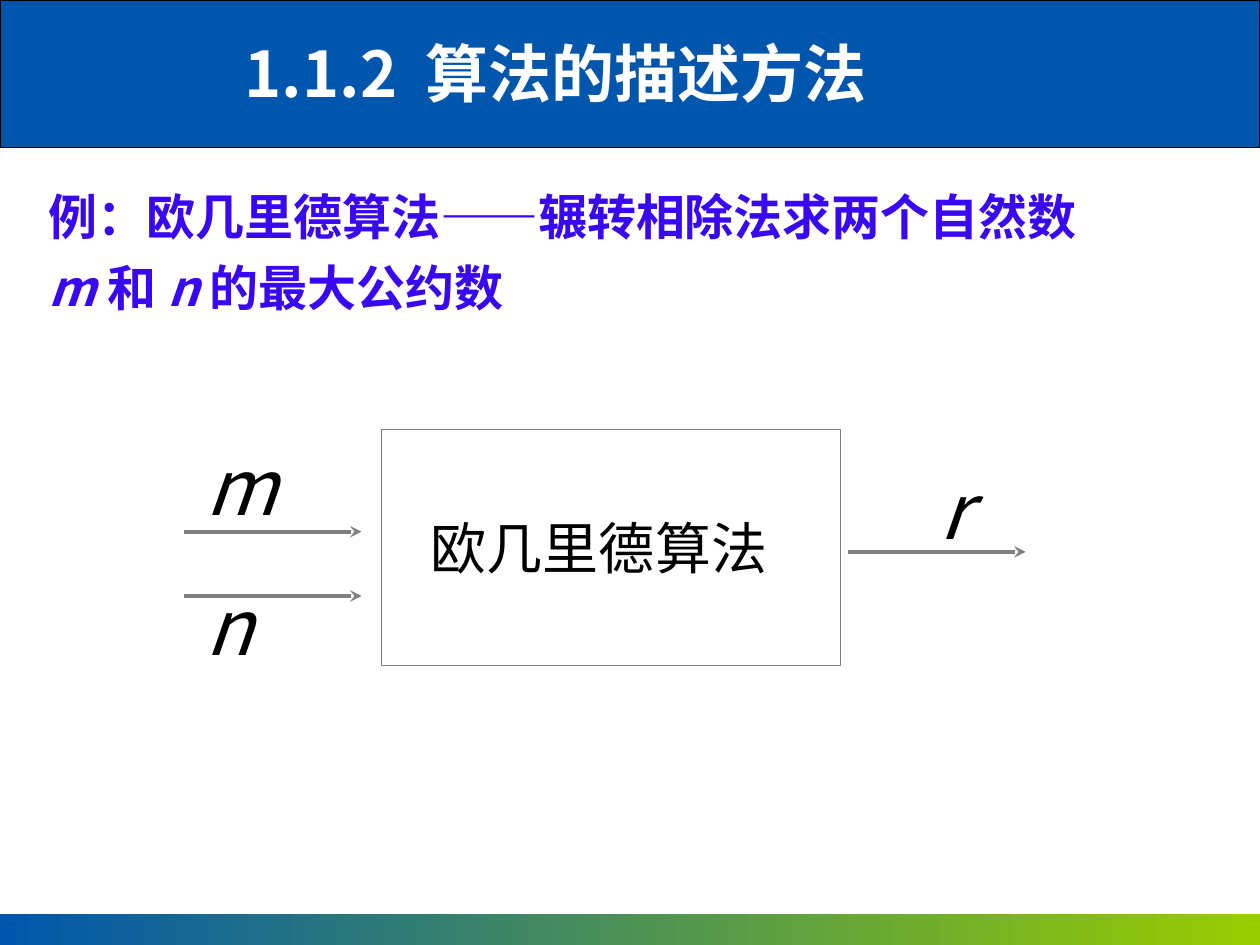
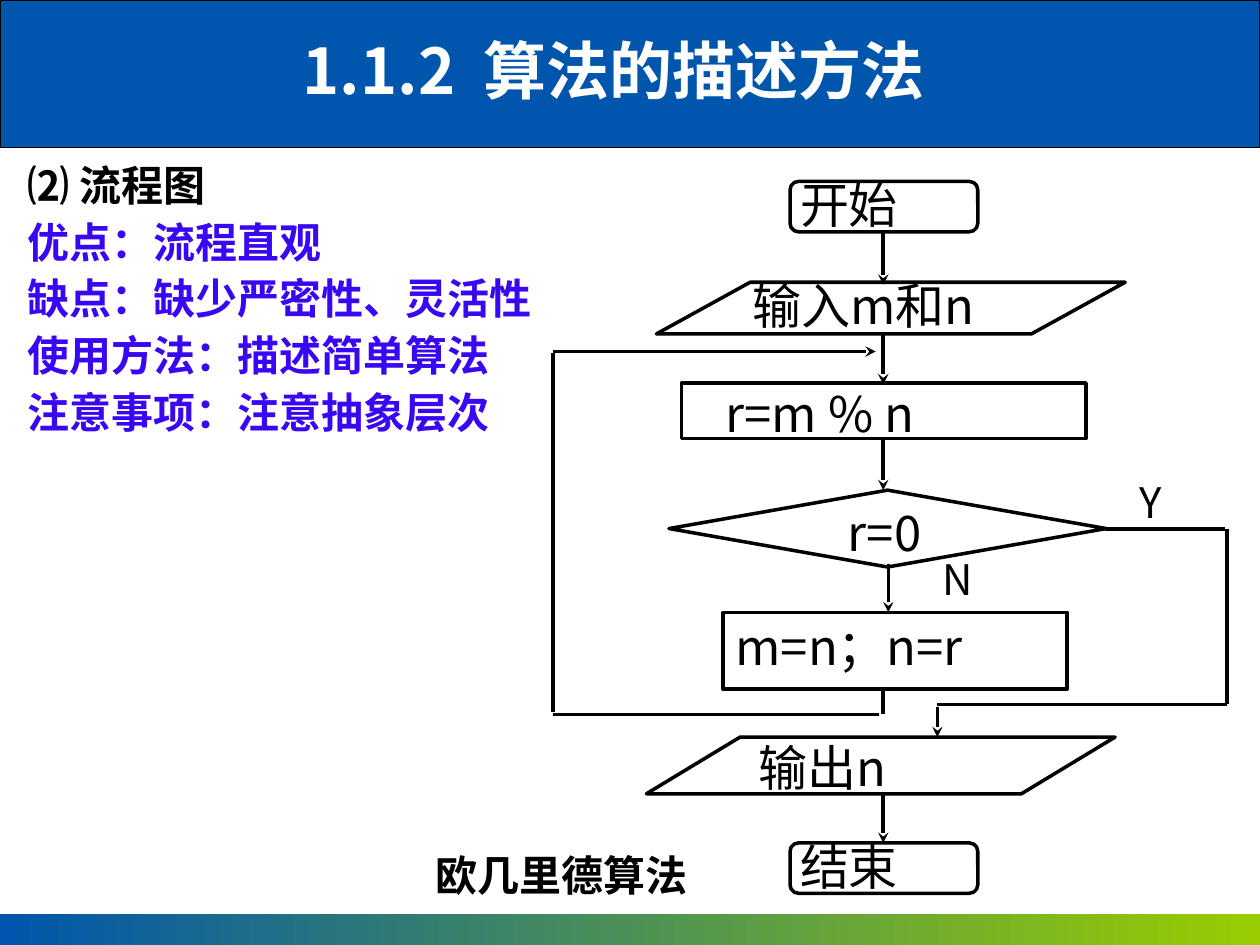
from dataclasses import dataclass

from lxml import etree
from pptx import Presentation
from pptx.dml.color import RGBColor
from pptx.enum.shapes import MSO_CONNECTOR, MSO_SHAPE
from pptx.enum.text import MSO_ANCHOR, MSO_AUTO_SIZE, PP_ALIGN
from pptx.oxml.ns import qn
from pptx.util import Inches, Pt

FONT = "Noto Sans CJK SC"
BLUE = RGBColor(0x00, 0x56, 0xAC)
GREEN = RGBColor(0x99, 0xCC, 0x00)
VIOLET = RGBColor(0x39, 0x07, 0xF1)
GREY = RGBColor(0x80, 0x80, 0x80)
BLACK = RGBColor(0x00, 0x00, 0x00)
WHITE = RGBColor(0xFF, 0xFF, 0xFF)

RECTANGLE = MSO_SHAPE.RECTANGLE
TERMINAL = MSO_SHAPE.FLOWCHART_ALTERNATE_PROCESS
DATA = MSO_SHAPE.FLOWCHART_DATA
PROCESS = MSO_SHAPE.FLOWCHART_PROCESS
DECISION = MSO_SHAPE.FLOWCHART_DECISION
STRAIGHT = MSO_CONNECTOR.STRAIGHT
TOP, MIDDLE = MSO_ANCHOR.TOP, MSO_ANCHOR.MIDDLE
LEFT, CENTER = PP_ALIGN.LEFT, PP_ALIGN.CENTER
NO_AUTOFIT = MSO_AUTO_SIZE.NONE

DEFAULT_MARGINS = (0.1, 0.05, 0.1, 0.05)
NO_MARGINS = (0, 0, 0, 0)


@dataclass(frozen=True)
class Area:
    left: float
    top: float
    width: float
    height: float

    def lengths(self):
        return [Inches(n) for n in (self.left, self.top, self.width, self.height)]


@dataclass(frozen=True)
class Span:
    text: str
    size: float
    color: RGBColor = BLACK
    bold: bool = False
    italic: bool = False
    tracking: float = 0  # points added after each character


@dataclass(frozen=True)
class Step:
    kind: MSO_SHAPE
    area: Area
    text: str = ""
    margins: tuple = NO_MARGINS
    line_spacing: float = 1.0


@dataclass(frozen=True)
class Label:
    area: Area
    span: Span
    margins: tuple = DEFAULT_MARGINS


@dataclass(frozen=True)
class Link:
    start: tuple
    end: tuple
    arrow: bool = True


STEPS = [
    Step(TERMINAL, Area(6.27, 1.44, 1.49, 0.4), "开始", (0.06, 0, 0.06, 0), 0.85),
    Step(DATA, Area(5.21, 2.24, 3.72, 0.41), "输入m和n", (0.02, 0, 0.02, 0), 0.9),
    Step(PROCESS, Area(5.41, 3.04, 3.21, 0.44), "r=m % n", (0.35, 0, 0.02, 0)),
    Step(DECISION, Area(5.31, 3.89, 3.47, 0.61)),
    Step(PROCESS, Area(5.74, 4.86, 2.73, 0.61), "m=n；n=r", (0.1, 0.12, 0.1, 0), 0.8),
    Step(DATA, Area(5.13, 5.85, 3.72, 0.45), "输出n", (0.15, 0, 0.06, 0)),
    Step(TERMINAL, Area(6.27, 6.69, 1.49, 0.4), "结束", (0.06, 0, 0.06, 0), 0.85),
]
MAIN_X, LOOP_X, EXIT_X, OUTPUT_X = 7.01, 4.39, 9.74, 7.44
FLOW_LINKS = [
    *[Link((MAIN_X, top), (MAIN_X, bottom)) for top, bottom in
      [(1.85, 2.26), (2.65, 3.05), (3.49, 3.89), (6.29, 6.69)]],
    Link((7.05, 4.48), (7.05, 4.86)),
    # Y branch, out to the right and down to the output
    Link((8.77, 4.2), (9.72, 4.2), arrow=False),
    Link((EXIT_X, 4.2), (EXIT_X, 5.59), arrow=False),
    Link((OUTPUT_X, 5.59), (EXIT_X, 5.59), arrow=False),
    Link((OUTPUT_X, 5.61), (OUTPUT_X, 5.85)),
    # loop back to the remainder step
    Link((MAIN_X, 5.47), (MAIN_X, 5.67), arrow=False),
    Link((6.98, 5.67), (LOOP_X, 5.67), arrow=False),
    Link((LOOP_X, 5.65), (LOOP_X, 2.8), arrow=False),
    Link((LOOP_X, 2.79), (6.95, 2.79)),
]
FLOW_LABELS = [
    Label(Area(6.73, 3.99, 0.67, 0.33), Span("r=0", 28), NO_MARGINS),
    Label(Area(7.48, 4.39, 0.32, 0.33), Span("N", 24), NO_MARGINS),
    Label(Area(9.04, 3.78, 0.53, 0.33), Span("Y", 24), NO_MARGINS),
    Label(Area(3.36, 6.69, 2.32, 0.5), Span("欧几里德算法", 24, bold=True)),
]
INPUT_OUTPUT_LINKS = [Link((left, y), (left + 1.41, y))
                      for left, y in [(1.46, 4.22), (1.46, 4.73), (6.73, 4.38)]]
VARIABLE_LABELS = [Label(Area(left, top, 0.79, 0.83), Span(name, 44, italic=True))
                   for name, left, top in [("m", 1.53, 3.43), ("n", 1.53, 4.54), ("r", 7.36, 3.62)]]
NOTES = ["优点：流程直观", "缺点：缺少严密性、灵活性", "使用方法：描述简单算法", "注意事项：注意抽象层次"]


def add_span(para, span: Span) -> None:
    run = para.add_run()
    run.text = span.text
    font = run.font
    font.name, font.size = FONT, Pt(span.size)
    font.bold, font.italic = span.bold, span.italic
    font.color.rgb = span.color
    properties = run.font._element
    etree.SubElement(properties, qn("a:ea")).set("typeface", FONT)
    if span.tracking:
        properties.set("spc", str(round(span.tracking * 100)))


def write(shape, paragraphs: list, margins=DEFAULT_MARGINS, anchor=TOP,
          align=LEFT, line_spacing=1.0, space_before=0.0) -> None:
    """Fill a shape with paragraphs, each a list of spans."""
    frame = shape.text_frame
    frame.word_wrap = True
    frame.auto_size = NO_AUTOFIT
    frame.vertical_anchor = anchor
    (frame.margin_left, frame.margin_top,
     frame.margin_right, frame.margin_bottom) = [Inches(n) for n in margins]
    for index, spans in enumerate(paragraphs):
        para = frame.add_paragraph() if index else frame.paragraphs[0]
        para.alignment = align
        para.line_spacing = line_spacing
        para.space_before = Pt(space_before)
        for span in spans:
            add_span(para, span)


def place(shape, area: Area) -> None:
    shape.left, shape.top, shape.width, shape.height = area.lengths()


def remove_bullets(shape) -> None:
    for para in shape.text_frame.paragraphs:
        properties = para._p.get_or_add_pPr()
        properties.set("marL", "0")
        properties.set("indent", "0")
        etree.SubElement(properties, qn("a:buNone"))


def outline(shape, color: RGBColor, width: float) -> None:
    shape.line.color.rgb = color
    shape.line.width = Pt(width)


def add_label(slide, label: Label) -> None:
    box = slide.shapes.add_textbox(*label.area.lengths())
    write(box, [[label.span]], label.margins)


def add_link(slide, link: Link, color: RGBColor, width: float) -> None:
    ends = [Inches(n) for n in (*link.start, *link.end)]
    connector = slide.shapes.add_connector(STRAIGHT, *ends)
    outline(connector, color, width)
    if link.arrow:
        etree.SubElement(connector.line._get_or_add_ln(), qn("a:tailEnd")).set("type", "stealth")
    etree.SubElement(connector._element.spPr, qn("a:effectLst"))


def add_step(slide, step: Step) -> None:
    shape = slide.shapes.add_shape(step.kind, *step.area.lengths())
    shape.shadow.inherit = False
    shape.fill.background()
    outline(shape, BLACK, 2)
    if step.text:
        write(shape, [[Span(step.text, 28)]], step.margins, line_spacing=step.line_spacing)


def add_bands(slide) -> None:
    """Draw the header and footer bands and move them to the slide's layout."""
    header = slide.shapes.add_shape(RECTANGLE, *Area(0, 0, 10, 1.17).lengths())
    header.fill.solid()
    header.fill.fore_color.rgb = BLUE
    outline(header, BLACK, 0.75)
    footer = slide.shapes.add_shape(RECTANGLE, *Area(0, 7.25, 10, 0.25).lengths())
    footer.fill.gradient()
    footer.fill.gradient_angle = 0
    for stop, color in zip(footer.fill.gradient_stops, (BLUE, GREEN)):
        stop.color.rgb = color
    footer.line.fill.background()
    for band in (header, footer):
        band.shadow.inherit = False
        slide.slide_layout.shapes.element.insert(2, band._element)


def add_slide(deck, title_left: float, title_top: float):
    slide = deck.slides.add_slide(deck.slide_layouts[1])
    title = slide.shapes.title
    place(title, Area(title_left, title_top, 7.16, 0.71))
    spans = [Span("1.1.2", 36, WHITE, bold=True),
             Span(" ", 36, WHITE, bold=True, tracking=8),
             Span("算法的描述方法", 36, WHITE, bold=True)]
    write(title, [spans], align=CENTER)
    return slide


def build_example(deck):
    slide = add_slide(deck, 0.83, 0.22)
    algorithm = slide.placeholders[1]
    place(algorithm, Area(3.03, 3.41, 3.64, 1.87))
    outline(algorithm, GREY, 0.75)
    write(algorithm, [[Span("欧几里德算法", 32)]], (0.39, 0.05, 0.1, 0.05), MIDDLE)
    remove_bullets(algorithm)
    for link in INPUT_OUTPUT_LINKS:
        add_link(slide, link, GREY, 2.25)
    for label in VARIABLE_LABELS:
        add_label(slide, label)
    problem = slide.shapes.add_textbox(*Area(0.29, 1.34, 8.63, 1.23).lengths())
    parts = [("例：欧几里德算法——辗转相除法求两个自然数 ", False), ("m ", True),
             ("和 ", False), ("n ", True), ("的最大公约数", False)]
    spans = [Span(text, 28, VIOLET, bold=True, italic=italic) for text, italic in parts]
    write(problem, [spans], line_spacing=1.2)
    return slide


def build_flowchart(deck) -> None:
    slide = add_slide(deck, 1.29, 0.2)
    notes = slide.placeholders[1]
    place(notes, Area(0.12, 1.26, 4.49, 3.33))
    paragraphs = [[Span("⑵ 流程图", 24, bold=True)]]
    paragraphs += [[Span(text, 24, VIOLET, bold=True)] for text in NOTES]
    write(notes, paragraphs, line_spacing=0.9, space_before=6.5)
    remove_bullets(notes)
    for step in STEPS:
        add_step(slide, step)
    for link in FLOW_LINKS:
        add_link(slide, link, BLACK, 2)
    for label in FLOW_LABELS:
        add_label(slide, label)


def main() -> None:
    deck = Presentation()
    deck.slide_width, deck.slide_height = Inches(10), Inches(7.5)
    add_bands(build_example(deck))
    build_flowchart(deck)
    deck.save("out.pptx")


if __name__ == "__main__":
    main()
